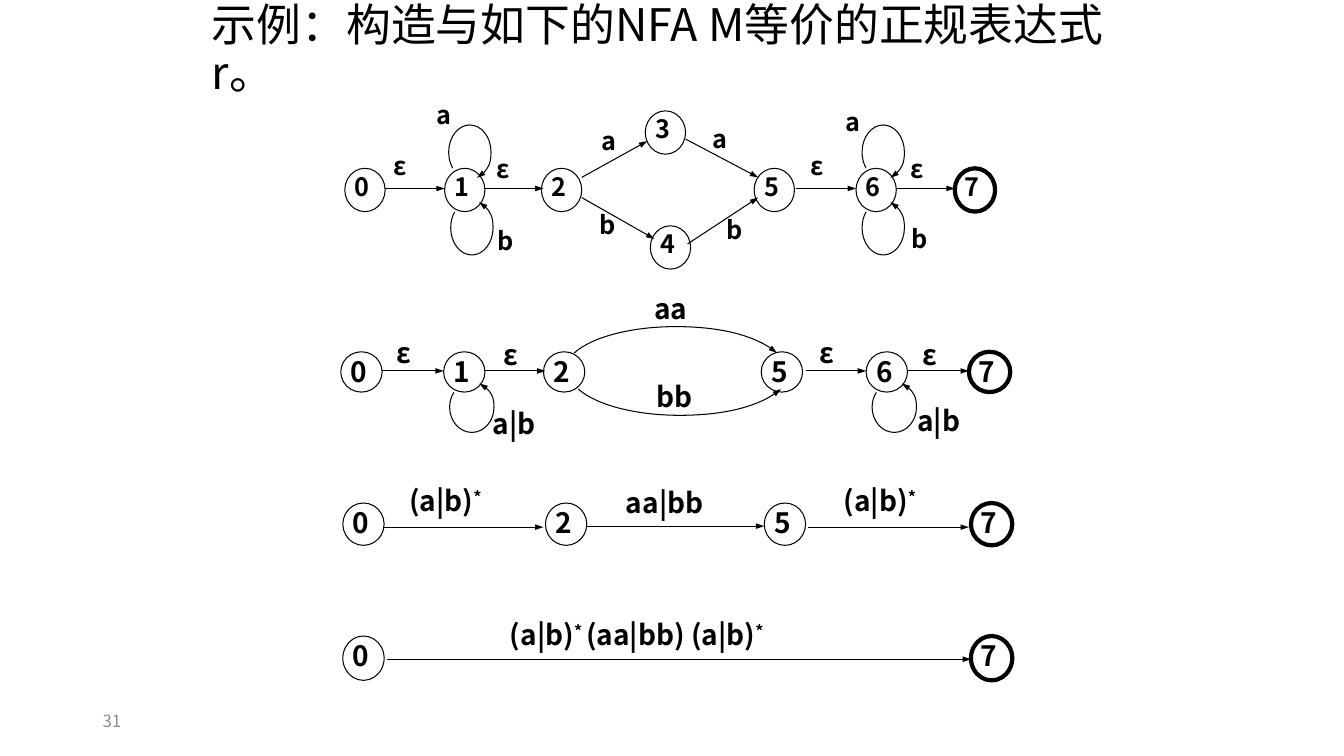
from dataclasses import dataclass
from math import ceil, cos, radians, sin, tan

from lxml.etree import SubElement
from pptx import Presentation
from pptx.dml.color import RGBColor
from pptx.enum.shapes import MSO_CONNECTOR as CONN, MSO_SHAPE as SHAPE
from pptx.enum.text import MSO_ANCHOR as ANCHOR, MSO_AUTO_SIZE as AUTO, PP_ALIGN as ALIGN
from pptx.oxml.ns import qn
from pptx.util import Inches, Pt


@dataclass(frozen=True)
class Theme:
    font: str = "Noto Sans CJK SC"
    ink: RGBColor = RGBColor(0, 0, 0)
    muted: RGBColor = RGBColor(0x8C, 0x8C, 0x8C)
    title: int = 32
    label: int = 20
    small_label: int = 18
    footer: int = 12
    thin: float = 0.75
    thick: float = 3


T = Theme()
LOOP_SWEEP = (144, 430)
BOW_SWEEP = (204, 336)


def inches(*values):
    return [Inches(v) for v in values]


def write(tf, text, size=T.label, color=T.ink, bold=False, align=ALIGN.LEFT,
          anchor=ANCHOR.TOP, spacing=None):
    """Write one paragraph; parts between ^ marks become superscripts."""
    tf.word_wrap = True
    tf.auto_size = AUTO.NONE
    tf.vertical_anchor = anchor
    p = tf.paragraphs[0]
    p.alignment = align
    p.line_spacing = spacing
    for i, part in enumerate(text.split("^")):
        if not part:
            continue
        r = p.add_run()
        r.text = part
        f = r.font
        f.name, f.size, f.bold = T.font, Pt(size), bold
        f.color.rgb = color
        rPr = r._r.get_or_add_rPr()
        SubElement(rPr, qn("a:ea")).set("typeface", T.font)
        if i % 2:
            rPr.set("baseline", "30000")


def add_text(shapes, box, text, **fmt):
    write(shapes.add_textbox(*inches(*box)).text_frame, text, **fmt)


def outline(sp, width=T.thin, arrow=False):
    sp.line.color.rgb = T.ink
    sp.line.width = Pt(width)
    if arrow:
        tail = SubElement(sp._element.spPr.find(qn("a:ln")), qn("a:tailEnd"))
        tail.set("type", "triangle")
        tail.set("w", "sm")


def add_state(shapes, box, name, size):
    x, y, w, h = box
    sp = shapes.add_shape(SHAPE.OVAL, *inches(*box))
    sp.shadow.inherit = False
    sp.fill.background()
    outline(sp, T.thick if name == "7" else T.thin)
    add_text(shapes, (x, y - 0.02, w + 0.04, h), name, size=size, bold=True, align=ALIGN.JUSTIFY)


def add_edge(shapes, x1, y1, x2, y2):
    line = shapes.add_connector(CONN.STRAIGHT, *inches(x1, y1, x2, y2))
    outline(line, arrow=True)
    SubElement(line._element.spPr, qn("a:effectLst"))


def arc_points(start, end):
    """Bezier points on the unit circle, split at the quarter turns."""
    quarters = range(90 * ceil(start / 90), end, 90)
    knots = [radians(a) for a in (start, *quarters, end)]
    points = [(cos(knots[0]), sin(knots[0]))]
    for a, b in zip(knots, knots[1:]):
        k = 4 / 3 * tan((b - a) / 4)
        points += [(cos(a) - k * sin(a), sin(a) + k * cos(a)),
                   (cos(b) + k * sin(b), sin(b) - k * cos(b)), (cos(b), sin(b))]
    return points


def add_arc(shapes, cx, cy, rx, ry, sweep, up):
    """Draw an elliptic arrow over the sweep in degrees, mirrored downwards unless up."""
    side = 1 if up else -1
    points = [inches(cx + rx * x, cy + side * ry * y) for x, y in arc_points(*sweep)]
    builder = shapes.build_freeform(*points[0], scale=1.0)
    builder.add_line_segments(points[1:], close=False)
    sp = builder.convert_to_shape()
    curve = next(sp._element.iter(qn("a:path")))
    segments = curve.findall(qn("a:lnTo"))
    for i, segment in enumerate(segments):
        if i % 3 == 0:
            bezier = SubElement(curve, qn("a:cubicBezTo"))
        bezier.append(segment[0])
        curve.remove(segment)
    sp.shadow.inherit = False
    sp.fill.background()
    outline(sp, arrow=True)


def add_automaton(slide, origin, state_size, states, edges, labels, label_box,
                  arcs=(), size=T.label):
    """Draw one automaton as a group; all offsets count from the top left of state 0."""
    left, top = origin
    w, h = state_size
    shapes = slide.shapes.add_group_shape().shapes
    for name, (x, y) in states.items():
        add_state(shapes, (left + x, top + y, w, h), name, size)
    for a, b, y1, y2, *gaps in edges:
        (xa, ya), (xb, yb) = states[a], states[b]
        gap1, gap2 = gaps or (0, 0)
        add_edge(shapes, left + xa + w + gap1, top + ya + y1, left + xb + gap2, top + yb + y2)
    for x, y, rx, ry, sweep, up in arcs:
        add_arc(shapes, left + x, top + y, rx, ry, sweep, up)
    for text, x, y in labels:
        add_text(shapes, (left + x, top + y, *label_box), text, size=size, bold=True,
                 align=ALIGN.JUSTIFY)


def on_axis(**columns):
    return {name[1:]: (x, 0) for name, x in columns.items()}


def level(y, **gaps):
    """Level edges, named by their two states, with the gaps at both ends."""
    return [(name[1], name[2], y, y, *pair) for name, pair in gaps.items()]


def add_nfa(slide):
    states = on_axis(q0=0, q1=0.99, q2=1.95, q5=4.06, q6=5.07, q7=6.05)
    states |= {"3": (2.98, -0.57), "4": (3.03, 0.57)}
    edges = level(0.2, e01=(0, 0), e12=(0, 0.02), e56=(0.02, 0), e67=(0, 0))
    edges += [("2", "3", 0.09, 0.3, 0, 0.02), ("2", "4", 0.29, 0.13, 0, 0.04),
              ("3", "5", 0.28, 0.09, 0, 0.04), ("4", "5", 0.18, 0.29, -0.03, 0.04)]
    loops = [(x, y, 0.21, 0.27, LOOP_SWEEP, y < 0)
             for x, y in ((1.24, -0.16), (1.26, 0.59), (5.34, -0.16), (5.34, 0.59))]
    labels = [("a", 0.81, -0.73), ("b", 1.42, 0.52), ("a", 2.45, -0.48), ("a", 3.55, -0.5),
              ("b", 2.43, 0.36), ("b", 3.69, 0.41), ("a", 4.87, -0.66), ("b", 5.52, 0.5),
              ("ε", 0.38, -0.23), ("ε", 1.41, -0.2), ("ε", 4.52, -0.23), ("ε", 5.51, -0.2)]
    add_automaton(slide, (3.42, 1.67), (0.4, 0.43), states, edges, labels, (0.53, 0.48),
                  loops, T.small_label)


def add_merged_branches(slide):
    states = on_axis(q0=0, q1=1.02, q2=2.01, q5=4.17, q6=5.21, q7=6.23)
    edges = level(0.19, e01=(0, 0), e12=(0, 0.02), e56=(0.03, 0), e67=(0, 0))
    arcs = [(x, 0.55, 0.22, 0.25, LOOP_SWEEP, False) for x in (1.3, 5.49)]
    arcs += [(x, 0.19, 1.1, 0.44, BOW_SWEEP, up) for x, up in ((3.32, True), (3.36, False))]
    labels = [("a|b", 1.41, 0.49), ("a|b", 5.62, 0.46), ("ε", 0.45, -0.21), ("ε", 1.52, -0.19),
              ("ε", 4.65, -0.21), ("ε", 5.67, -0.19), ("aa", 3.01, -0.65), ("bb", 3.03, 0.23)]
    add_automaton(slide, (3.38, 3.49), (0.41, 0.4), states, edges, labels, (0.7, 0.44), arcs)


def add_merged_loops(slide):
    states = on_axis(q0=0, q2=2.01, q5=4.18, q7=6.23)
    edges = level(0.24, e02=(0, -0.02), e57=(0.02, -0.02)) + level(0.23, e25=(0, 0))
    labels = [("(a|b)^*", 0.56, -0.24), ("aa|bb", 2.71, -0.22), ("(a|b)^*", 4.87, -0.24)]
    add_automaton(slide, (3.4, 4.99), (0.41, 0.42), states, edges, labels, (1.08, 0.47))


def add_final_expression(slide):
    add_automaton(slide, (3.4, 6.31), (0.41, 0.44), on_axis(q0=0, q7=6.23),
                  level(0.23, e07=(0.03, 0)),
                  [("(a|b)^* ^(aa|bb) (a|b)^*", 1.56, -0.23)], (3.24, 0.48))


def add_title(slide, box, text):
    sp = slide.shapes.title
    sp.left, sp.top, sp.width, sp.height = inches(*box)
    write(sp.text_frame, text, size=T.title, anchor=ANCHOR.MIDDLE, spacing=0.9)


def main():
    prs = Presentation()
    prs.slide_width, prs.slide_height = inches(13.33, 7.5)
    slide = prs.slides.add_slide(prs.slide_layouts.get_by_name("Title Only"))
    add_title(slide, (2, 0.17, 9.42, 0.67), "示例：构造与如下的NFA M等价的正规表达式r。")
    add_nfa(slide)
    add_merged_branches(slide)
    add_merged_loops(slide)
    add_final_expression(slide)
    add_text(slide.shapes, (0.92, 6.95, 3, 0.4), "31", size=T.footer, color=T.muted,
             anchor=ANCHOR.MIDDLE)
    prs.save("out.pptx")


if __name__ == "__main__":
    main()
